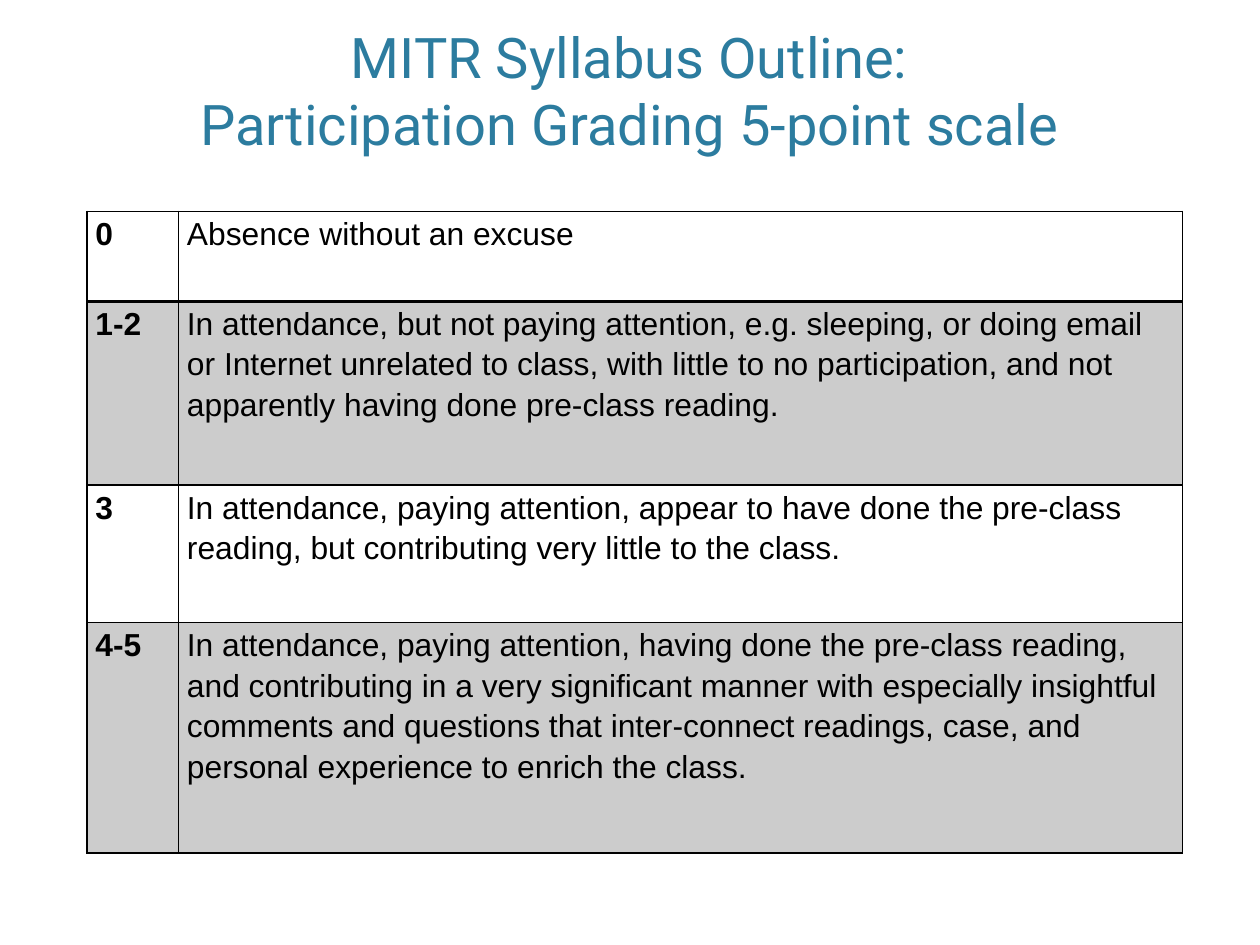
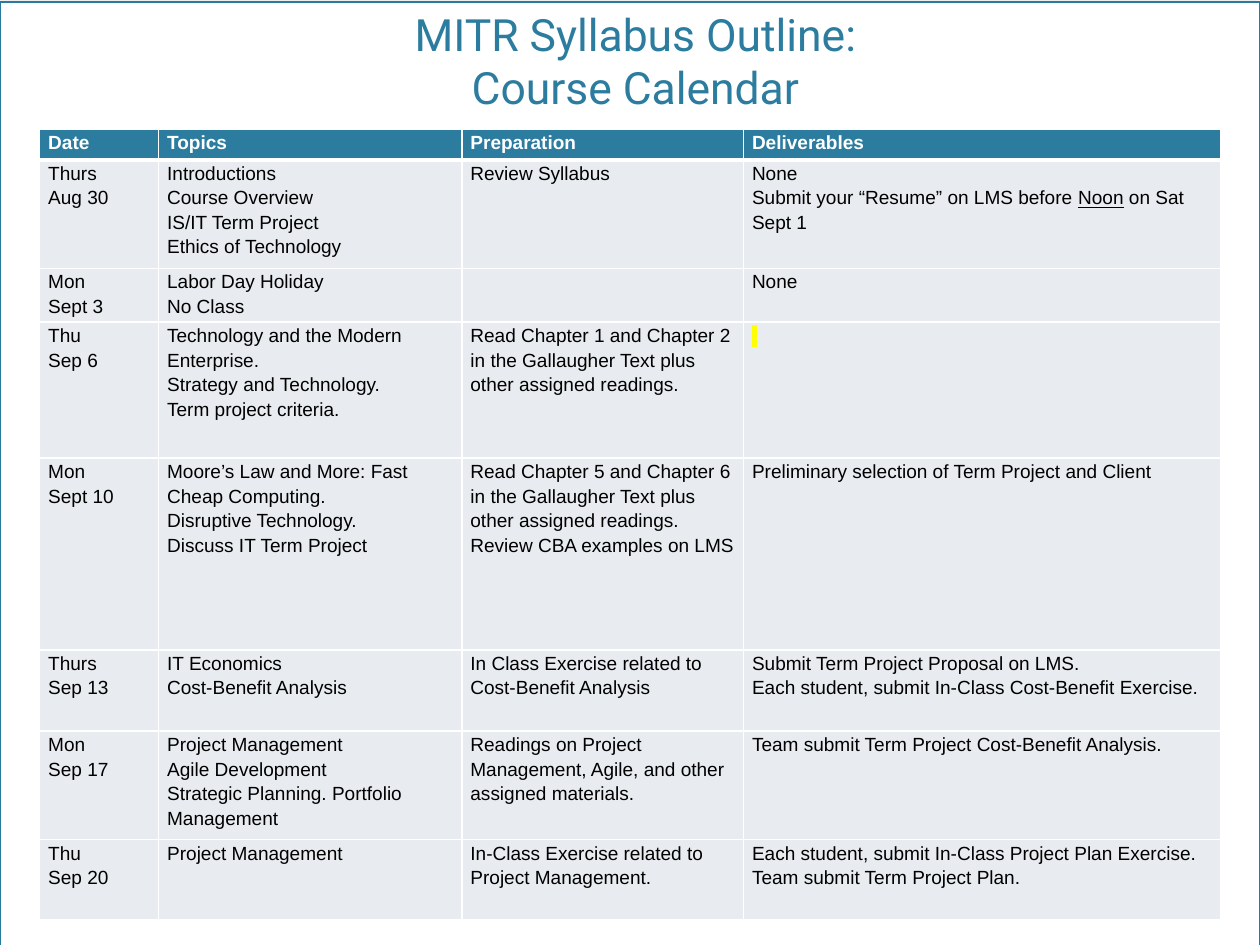
from lxml import etree
from pptx import Presentation
from pptx import util as u
from pptx.dml.color import RGBColor
from pptx.enum import shapes, text
from pptx.oxml.ns import qn

TEAL = RGBColor(0x2C, 0x7C, 0x9F)
EDGE = RGBColor(0x28, 0x7A, 0x9E)
WHITE = RGBColor(0xFF, 0xFF, 0xFF)
BLACK = RGBColor(0, 0, 0)
GREY = RGBColor(0xCC, 0xCC, 0xCC)
PALE = RGBColor(0xE8, 0xEC, 0xF0)
GOLD = RGBColor(0xFF, 0xFF, 0)
HEAD = "MITR Syllabus Outline:"
MARK = " "

deck = Presentation()
deck.slide_width, deck.slide_height = u.Cm(28), u.Cm(21)
WIDE, HIGH = deck.slide_width / 100, deck.slide_height / 100


def add_page(name, size, left, top, width):
    """Add a slide with a two-line title; lengths are percent of the slide."""
    page = deck.slides.add_slide(deck.slide_layouts[5])
    title = page.shapes.title
    title.left, title.top = int(left * WIDE), int(top * HIGH)
    title.width, title.height = int(width * WIDE), int(16.7 * HIGH)
    frame = title.text_frame
    frame.auto_size = text.MSO_AUTO_SIZE.NONE
    frame.vertical_anchor = text.MSO_ANCHOR.BOTTOM
    frame.margin_left = frame.margin_right = u.Inches(0.11)
    frame.margin_top = frame.margin_bottom = u.Inches(0.06)
    para = frame.paragraphs[0]
    para.alignment = text.PP_ALIGN.CENTER
    for part in (HEAD, name):
        if part == name:
            para.add_line_break()
        run = para.add_run()
        run.text = part
        run.font.size, run.font.name = u.Pt(size), "Roboto"
        run.font.color.rgb = TEAL
    return page


def add_grid(page, left, top, cols, rows, data, size, line, rule, look):
    """Draw a table; rule is the width under row 0, look(r, c) gives fill, ink, bold."""
    grid = page.shapes.add_table(
        len(rows), len(cols), int(left * WIDE), int(top * HIGH),
        int(sum(cols) * WIDE), int(sum(rows) * HIGH)).table
    grid.first_row = grid.horz_banding = False
    for col, share in zip(grid.columns, cols):
        col.width = int(share * WIDE)
    for r, share in enumerate(rows):
        grid.rows[r].height = int(share * HIGH)
        for c, words in enumerate(data[r]):
            cell = grid.cell(r, c)
            fill, ink, bold = look(r, c)
            cell.margin_left = cell.margin_right = u.Pt(5.4)
            cell.margin_top = cell.margin_bottom = 0
            props = cell._tc.get_or_add_tcPr()
            for side in "LRTB":
                thick = rule if (r, side) in ((0, "B"), (1, "T")) else 1
                edge = etree.SubElement(props, qn("a:ln" + side), w=str(u.Pt(thick)))
                solid = etree.SubElement(edge, qn("a:solidFill"))
                etree.SubElement(solid, qn("a:srgbClr"), val=str(line))
            cell.fill.solid()
            cell.fill.fore_color.rgb = fill
            frame = cell.text_frame
            for i, row in enumerate(words.split("\n")):
                para = frame.add_paragraph() if i else frame.paragraphs[0]
                para.line_spacing = 1.15
                for j, part in enumerate(row.split("_")):
                    if not part:
                        continue
                    run = para.add_run()
                    run.text = part
                    font = run.font
                    font.size, font.name, font.bold = u.Pt(size), "Arial", bold
                    font.color.rgb = ink
                    if j % 2:
                        font.underline = True
                    if part == MARK:
                        glow = etree.Element(qn("a:highlight"))
                        etree.SubElement(glow, qn("a:srgbClr"), val=str(GOLD))
                        run._r.rPr.find(qn("a:latin")).addprevious(glow)


# Grading scale
page = add_page("Participation Grading 5-point scale", 35.3, 9.95, 0.6, 80)
scale = [
    ("0", "Absence without an excuse"),
    ("1-2", "In attendance, but not paying attention, e.g. sleeping, or doing "
            "email or Internet unrelated to class, with little to no "
            "participation, and not apparently having done pre-class reading."),
    ("3", "In attendance, paying attention, appear to have done the pre-class "
          "reading, but contributing very little to the class."),
    ("4-5", "In attendance, paying attention, having done the pre-class reading, "
            "and contributing in a very significant manner with especially "
            "insightful comments and questions that inter-connect readings, "
            "case, and personal experience to enrich the class."),
]
add_grid(page, 6.9, 22.35, (7.26, 79.67), (9.52, 19.47, 14.51, 24.43), scale,
         20, BLACK, 2, lambda r, c: (GREY if r % 2 else WHITE, BLACK, c == 0))

# Course calendar
page = add_page("Course Calendar", 28, 9.17, -3.95, 82.5)
panel = page.shapes.add_shape(shapes.MSO_SHAPE.RECTANGLE, 0, u.Inches(0.02),
                              deck.slide_width, deck.slide_height)
panel.fill.solid()
panel.fill.fore_color.rgb = WHITE
panel.line.color.rgb, panel.line.width = EDGE, u.Pt(1)
panel.shadow.inherit = False
shade = etree.SubElement(
    panel._element.spPr.find(qn("a:effectLst")), qn("a:outerShdw"),
    blurRad=str(u.Pt(5)), dist=str(u.Pt(2)), dir="5400000", rotWithShape="0")
tint = etree.SubElement(shade, qn("a:srgbClr"), val=str(BLACK))
etree.SubElement(tint, qn("a:alpha"), val="40000")
page.shapes.title._element.addprevious(panel._element)

plan = [
    ("Date", "Topics", "Preparation", "Deliverables"),
    ("Thurs\nAug 30",
     "Introductions\nCourse Overview\nIS/IT Term Project\nEthics of Technology",
     "Review Syllabus",
     "None\nSubmit your “Resume” on LMS before _Noon_ on Sat Sept 1"),
    ("Mon\nSept 3", "Labor Day Holiday\nNo Class", "", "None"),
    ("Thu\nSep 6",
     "Technology and the Modern Enterprise.\nStrategy and Technology.\n"
     "Term project criteria.",
     "Read Chapter 1 and Chapter 2 in the Gallaugher Text plus other assigned "
     "readings.",
     MARK),
    ("Mon\nSept 10",
     "Moore’s Law and More: Fast Cheap Computing.\nDisruptive Technology.\n"
     "Discuss IT Term Project",
     "Read Chapter 5 and Chapter 6 in the Gallaugher Text plus other assigned "
     "readings.\nReview CBA examples on LMS",
     "Preliminary selection of Term Project and Client"),
    ("Thurs\nSep 13", "IT Economics\nCost-Benefit Analysis",
     "In Class Exercise related to Cost-Benefit Analysis",
     "Submit Term Project Proposal on LMS.\n"
     "Each student, submit In-Class Cost-Benefit Exercise."),
    ("Mon\nSep 17",
     "Project Management\nAgile Development\n"
     "Strategic Planning. Portfolio Management",
     "Readings on Project Management, Agile, and other assigned materials.",
     "Team submit Term Project Cost-Benefit Analysis."),
    ("Thu\nSep 20", "Project Management",
     "In-Class Exercise related to Project Management.",
     "Each student, submit In-Class Project Plan Exercise.\n"
     "Team submit Term Project Plan."),
]
add_grid(page, 3.15, 13.7, (9.44, 24.07, 22.35, 37.84),
         (3.22, 11.49, 5.68, 14.39, 20.31, 8.59, 11.49, 8.5), plan, 12, WHITE, 3,
         lambda r, c: (PALE, BLACK, False) if r else (TEAL, WHITE, True))

deck.save("out.pptx")
